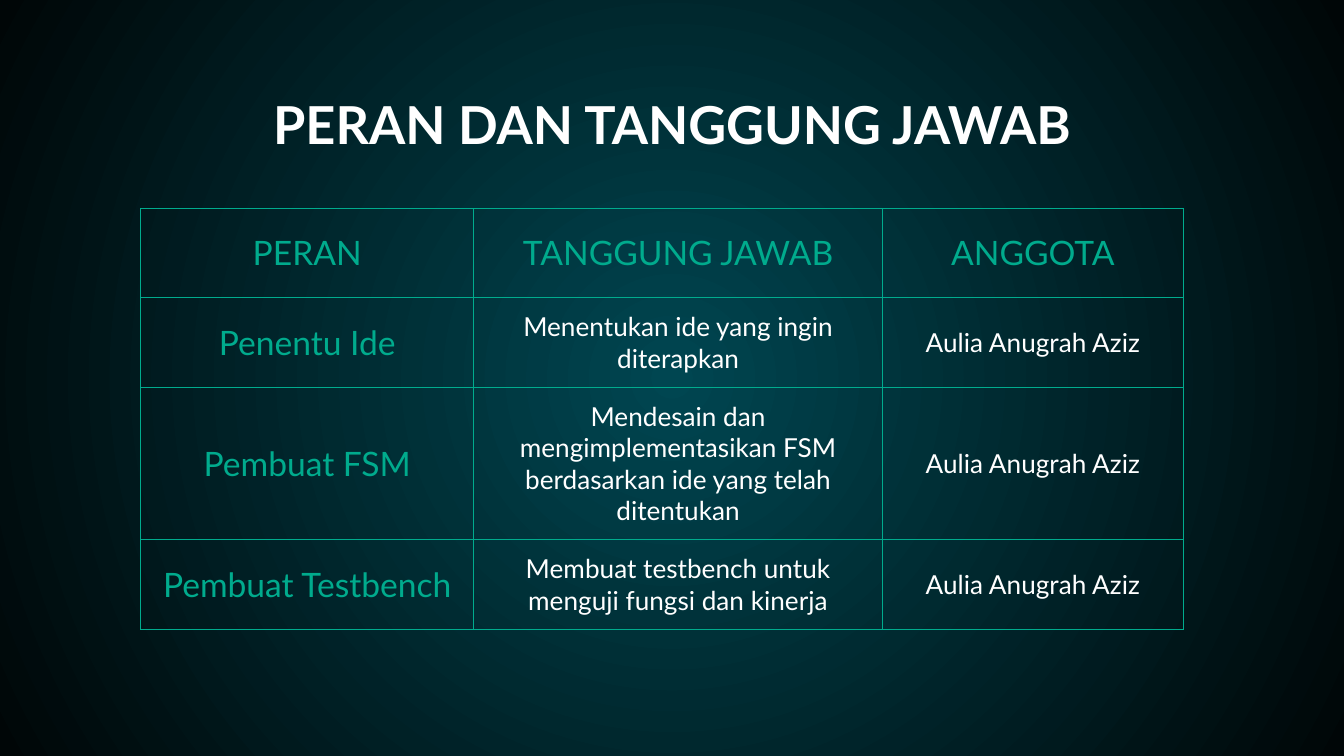
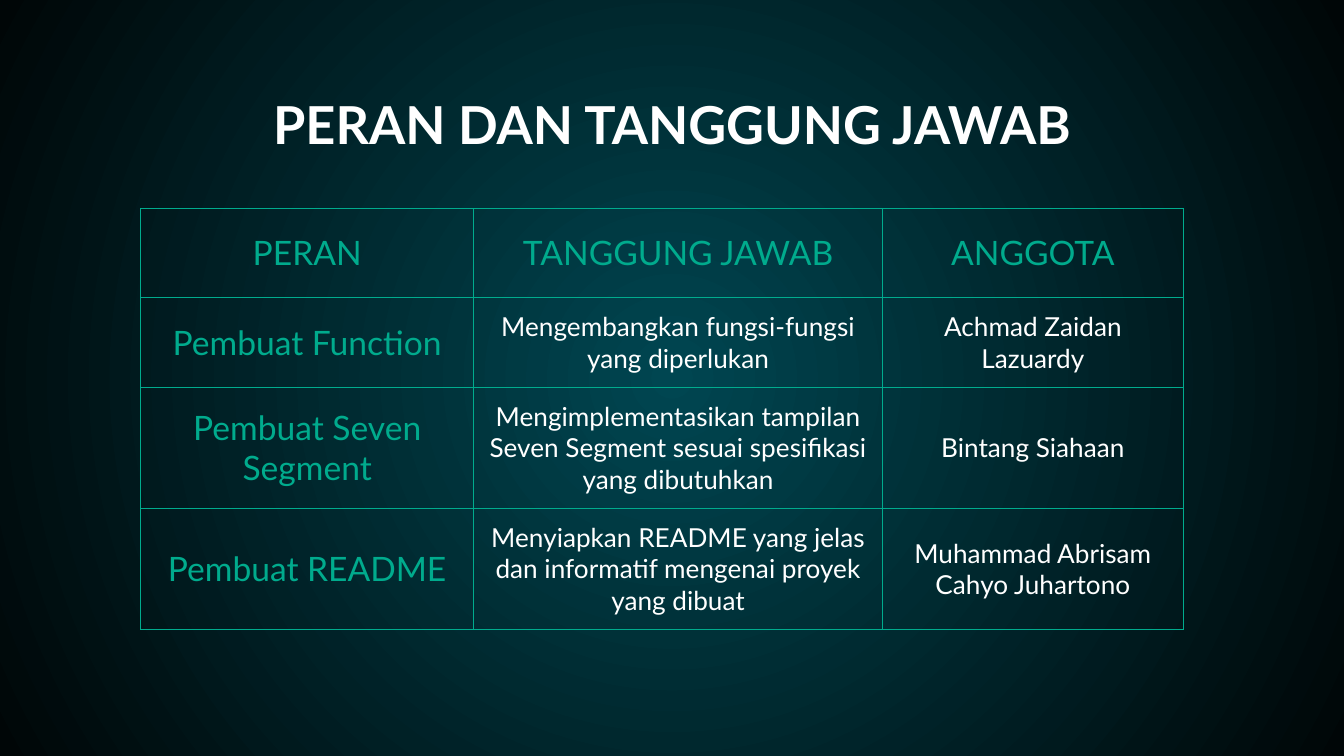
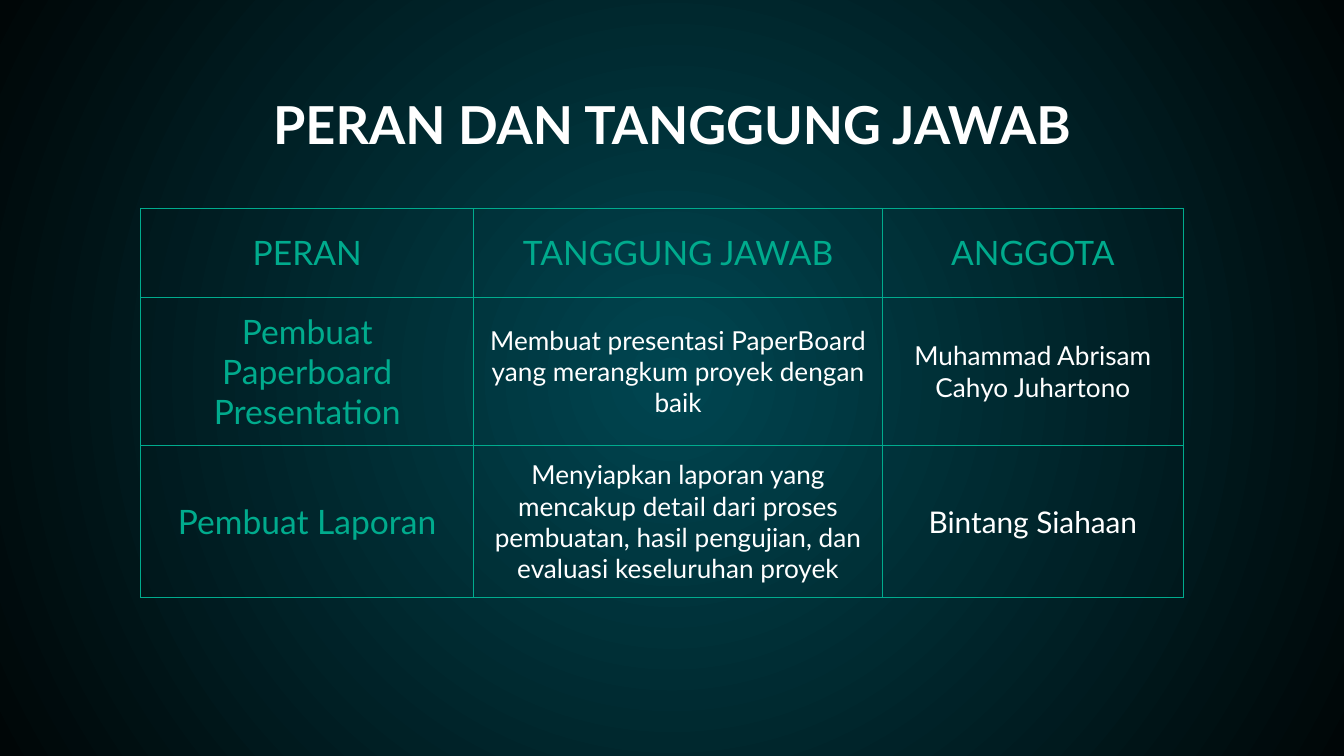
from pptx import Presentation
from pptx.dml.color import RGBColor
from pptx.enum.text import MSO_ANCHOR as Anchor, MSO_AUTO_SIZE as AutoSize, PP_ALIGN as Align
from pptx.oxml import parse_xml
from pptx.oxml.ns import nsdecls, qn
from pptx.util import Inches, Pt

TEAL = RGBColor(0x00, 0xAB, 0x8D)
WHITE = RGBColor(0xFF, 0xFF, 0xFF)
GLOW = RGBColor(0x00, 0x46, 0x51)
NIGHT = RGBColor(0x00, 0x06, 0x07)

FONT = "Lato"
TITLE_STYLE = {"name": FONT, "size": Pt(28), "bold": True}
LABEL_STYLE = {"name": FONT, "size": Pt(18), "bold": False}
DETAIL_STYLE = {"name": FONT, "size": Pt(14), "bold": False}
LARGE_DETAIL_STYLE = DETAIL_STYLE | {"size": Pt(16)}

WIDTH = Inches(10)
HEIGHT = WIDTH * 9 // 16
INSET = Inches(0.1)
BORDER_WIDTH = Pt(0.75)

# Percentages of the slide's width and height
TITLE_BOX = (7.8, 10.4, 84.4, 11)
TABLE_CORNER = (10.46, 27.56)
COLUMN_SHARES = (24.8, 30.4, 22.4)
ROW_SHARE = 11.8

TITLE = "PERAN DAN TANGGUNG JAWAB"
HEADINGS = ("PERAN", "TANGGUNG JAWAB", "ANGGOTA")
IDEA_ROLES = [
    ("Penentu Ide", "Menentukan ide yang ingin diterapkan", "Aulia Anugrah Aziz"),
    ("Pembuat FSM",
     "Mendesain dan mengimplementasikan FSM berdasarkan ide yang telah ditentukan",
     "Aulia Anugrah Aziz"),
    ("Pembuat Testbench", "Membuat testbench untuk menguji fungsi dan kinerja",
     "Aulia Anugrah Aziz"),
]
BUILD_ROLES = [
    ("Pembuat Function", "Mengembangkan fungsi-fungsi yang diperlukan",
     "Achmad Zaidan Lazuardy"),
    ("Pembuat Seven Segment",
     "Mengimplementasikan tampilan Seven Segment sesuai spesifikasi yang dibutuhkan",
     "Bintang Siahaan"),
    ("Pembuat README",
     "Menyiapkan README yang jelas dan informatif mengenai proyek yang dibuat",
     "Muhammad Abrisam Cahyo Juhartono"),
]
REPORT_ROLES = [
    ("Pembuat Paperboard Presentation",
     "Membuat presentasi PaperBoard yang merangkum proyek dengan baik",
     "Muhammad Abrisam Cahyo Juhartono"),
    ("Pembuat Laporan",
     "Menyiapkan laporan yang mencakup detail dari proses pembuatan, hasil pengujian, "
     "dan evaluasi keseluruhan proyek",
     "Bintang Siahaan"),
]


def across(share):
    return round(WIDTH * share / 100)


def down(share):
    return round(HEIGHT * share / 100)


def paint_background(master):
    """Give the master a round gradient, bright in the middle."""
    fill = master.background.fill
    fill.gradient()
    for stop, color in zip(fill.gradient_stops, (GLOW, NIGHT)):
        stop.color.rgb = color
    linear = master.element.find(".//" + qn("a:lin"))
    linear.getparent().replace(linear, parse_xml(
        f'<a:path {nsdecls("a")} path="circle">'
        '<a:fillToRect l="50000" t="50000" r="50000" b="50000"/></a:path>'))


def write(frame, text, style, color):
    frame.text = text
    para = frame.paragraphs[0]
    para.alignment = Align.CENTER
    font = para.runs[0].font
    for name, value in style.items():
        setattr(font, name, value)
    font.color.rgb = color


def set_insets(box):
    for side in ("left", "right", "top", "bottom"):
        setattr(box, f"margin_{side}", INSET)


def add_title(page, box):
    title = page.shapes.title
    left, top, width, height = box
    title.left, title.top = across(left), down(top)
    title.width, title.height = across(width), down(height)
    frame = title.text_frame
    frame.auto_size = AutoSize.NONE
    frame.word_wrap = True
    frame.vertical_anchor = Anchor.TOP
    set_insets(frame)
    write(frame, TITLE, TITLE_STYLE, WHITE)


def outline(cell):
    properties = cell._tc.get_or_add_tcPr()
    for side in "LRTB":
        properties.append(parse_xml(
            f'<a:ln{side} {nsdecls("a")} w="{BORDER_WIDTH}"><a:solidFill>'
            f'<a:srgbClr val="{TEAL}"/></a:solidFill></a:ln{side}>'))


def add_role_table(page, corner, roles, last_style):
    """Headings and the first column are teal; last_style sets the final member."""
    rows = [HEADINGS, *roles]
    left, top = corner
    table = page.shapes.add_table(
        len(rows), len(HEADINGS), across(left), down(top),
        across(sum(COLUMN_SHARES)), down(ROW_SHARE * len(rows))).table
    table.first_row = table.horz_banding = False
    for column, share in zip(table.columns, COLUMN_SHARES):
        column.width = across(share)
    last_cell = (len(rows) - 1, len(HEADINGS) - 1)
    for row_index, texts in enumerate(rows):
        table.rows[row_index].height = down(ROW_SHARE)
        for column_index, text in enumerate(texts):
            cell = table.cell(row_index, column_index)
            outline(cell)
            cell.fill.background()
            cell.vertical_anchor = Anchor.MIDDLE
            set_insets(cell)
            if row_index == 0 or column_index == 0:
                style, color = LABEL_STYLE, TEAL
            elif (row_index, column_index) == last_cell:
                style, color = last_style, WHITE
            else:
                style, color = DETAIL_STYLE, WHITE
            write(cell.text_frame, text, style, color)


def add_role_page(deck, roles, last_style=DETAIL_STYLE):
    page = deck.slides.add_slide(deck.slide_layouts.get_by_name("Title Only"))
    add_title(page, TITLE_BOX)
    add_role_table(page, TABLE_CORNER, roles, last_style)


def main():
    deck = Presentation()
    deck.slide_width, deck.slide_height = WIDTH, HEIGHT
    paint_background(deck.slide_master)
    add_role_page(deck, IDEA_ROLES)
    add_role_page(deck, BUILD_ROLES)
    add_role_page(deck, REPORT_ROLES, LARGE_DETAIL_STYLE)
    deck.save("out.pptx")


if __name__ == "__main__":
    main()
